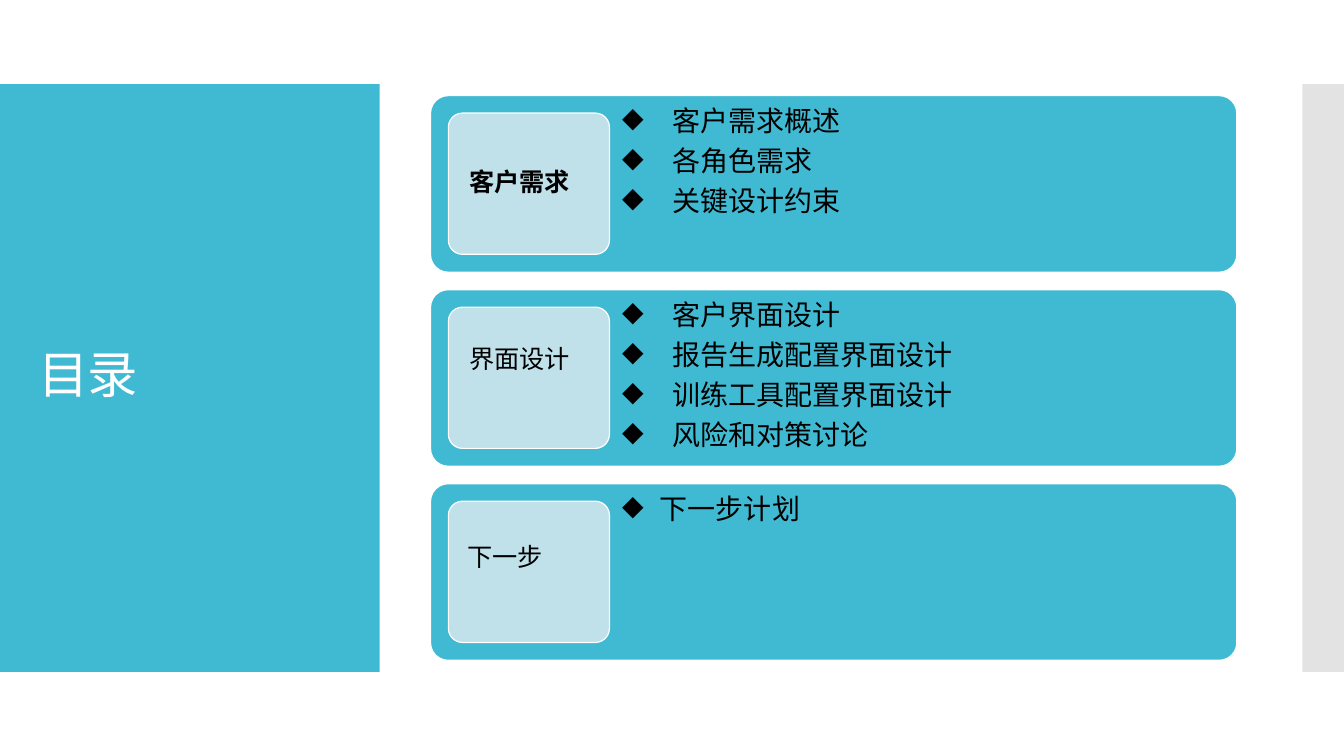
from dataclasses import dataclass

from lxml.etree import SubElement
from pptx import Presentation
from pptx.dml.color import RGBColor
from pptx.enum.shapes import MSO_SHAPE
from pptx.enum.text import MSO_ANCHOR, MSO_AUTO_SIZE, PP_ALIGN
from pptx.oxml.ns import qn
from pptx.util import Cm, Pt


@dataclass(frozen=True)
class Theme:
    font: str = "Calibri"
    accent: str = "40BAD2"
    tile: str = "C0E0EA"
    side: str = "C8C8C8"
    white: str = "FFFFFF"
    black: str = "000000"
    title_size: int = 36
    list_size: int = 20
    label_size: int = 18
    outline: float = 0.85


class AgendaSlide:
    def __init__(self, presentation, theme):
        self.theme = theme
        self.slide = presentation.slides.add_slide(presentation.slide_layouts[5])

    def add_run(self, paragraph, text, size, color, bold=False):
        run = paragraph.add_run()
        run.text = text
        run.font.name = self.theme.font
        run.font.size = Pt(size)
        run.font.bold = bold
        run.font.color.rgb = RGBColor.from_string(color)
        return run

    def add_block(self, kind, left, top, width, height, fill, outlined=False):
        shape = self.slide.shapes.add_shape(
            kind, Cm(left), Cm(top), Cm(width), Cm(height))
        shape.shadow.inherit = False
        shape.fill.solid()
        shape.fill.fore_color.rgb = RGBColor.from_string(fill)
        if outlined:
            shape.line.color.rgb = RGBColor.from_string(self.theme.white)
            shape.line.width = Pt(self.theme.outline)
        else:
            shape.line.fill.background()
        return shape

    def add_rounded(self, left, top, width, height, fill):
        shape = self.add_block(MSO_SHAPE.ROUNDED_RECTANGLE,
                               left, top, width, height, fill, outlined=True)
        shape.adjustments[0] = 0.1
        return shape

    def add_panel(self, left, width, fill, opacity=100):
        panel = self.add_block(MSO_SHAPE.RECTANGLE, left, 2.12, width, 14.81, fill)
        if opacity < 100:
            color = panel.fill._xPr.find(".//" + qn("a:srgbClr"))
            SubElement(color, qn("a:alpha"), val=str(opacity * 1000))

    def add_title(self, text):
        title = self.slide.shapes.title
        title.left, title.top = Cm(0.71), Cm(3.12)
        title.width, title.height = Cm(8.18), Cm(12.78)
        # The title has to lie in front of the coloured panel.
        title._element.getparent().append(title._element)
        frame = title.text_frame
        frame.word_wrap = True
        frame.auto_size = MSO_AUTO_SIZE.NONE
        frame.vertical_anchor = MSO_ANCHOR.MIDDLE
        paragraph = frame.paragraphs[0]
        paragraph.alignment = PP_ALIGN.LEFT
        paragraph.line_spacing = 0.9
        run = self.add_run(paragraph, text, self.theme.title_size, self.theme.white)
        run.font._element.set("spc", "-60")

    def format_bullet(self, paragraph, indent):
        paragraph.alignment = PP_ALIGN.LEFT
        paragraph.line_spacing = 0.9
        properties = paragraph._p.get_or_add_pPr()
        properties.set("marL", str(Cm(indent)))
        properties.set("indent", str(-Cm(indent)))
        space_after = SubElement(properties, qn("a:spcAft"))
        SubElement(space_after, qn("a:spcPct"), val="35000")
        SubElement(properties, qn("a:buChar"), char="◆")

    def add_card(self, top, items, indent):
        left = 10.85
        card = self.add_rounded(left, top, 20.32, 4.45, self.theme.accent)
        frame = card.text_frame
        frame.word_wrap = True
        frame.vertical_anchor = MSO_ANCHOR.TOP
        frame.margin_left, frame.margin_right = Cm(4.7), Cm(0.2)
        frame.margin_top = frame.margin_bottom = Cm(0.17)
        for index, item in enumerate(items):
            paragraph = frame.add_paragraph() if index else frame.paragraphs[0]
            self.format_bullet(paragraph, indent)
            self.add_run(paragraph, item, self.theme.list_size, self.theme.black)
        self.add_rounded(left + 0.45, top + 0.44, 4.06, 3.56, self.theme.tile)

    def add_label(self, text, left, top, bold):
        box = self.slide.shapes.add_textbox(Cm(left), Cm(top), Cm(3.58), Cm(1.03))
        frame = box.text_frame
        frame.word_wrap = True
        frame.auto_size = MSO_AUTO_SIZE.SHAPE_TO_FIT_TEXT
        self.add_run(frame.paragraphs[0], text,
                     self.theme.label_size, self.theme.black, bold)


@dataclass(frozen=True)
class Section:
    label: str
    items: tuple
    label_left: float = 11.58
    label_top: float = 0
    indent: float = 1.27
    bold: bool = False


SECTIONS = (
    Section("客户需求", ("客户需求概述", "各角色需求", "关键设计约束"),
            label_top=4.06, bold=True),
    Section("界面设计", ("客户界面设计", "报告生成配置界面设计",
                     "训练工具配置界面设计", "风险和对策讨论"), label_top=8.53),
    Section("下一步", ("下一步计划",), label_left=11.53, label_top=13.51, indent=0.95),
)


def main():
    presentation = Presentation()
    presentation.slide_width, presentation.slide_height = Cm(33.87), Cm(19.05)
    theme = Theme()
    agenda = AgendaSlide(presentation, theme)
    agenda.add_panel(0, 9.57, theme.accent)
    agenda.add_panel(32.82, 1.05, theme.side, opacity=50)
    agenda.add_title("目录")
    first_top, pitch = 2.41, 4.89
    for row, section in enumerate(SECTIONS):
        agenda.add_card(first_top + row * pitch, section.items, section.indent)
    for section in SECTIONS:
        agenda.add_label(section.label, section.label_left,
                         section.label_top, section.bold)
    presentation.save("out.pptx")


if __name__ == "__main__":
    main()
